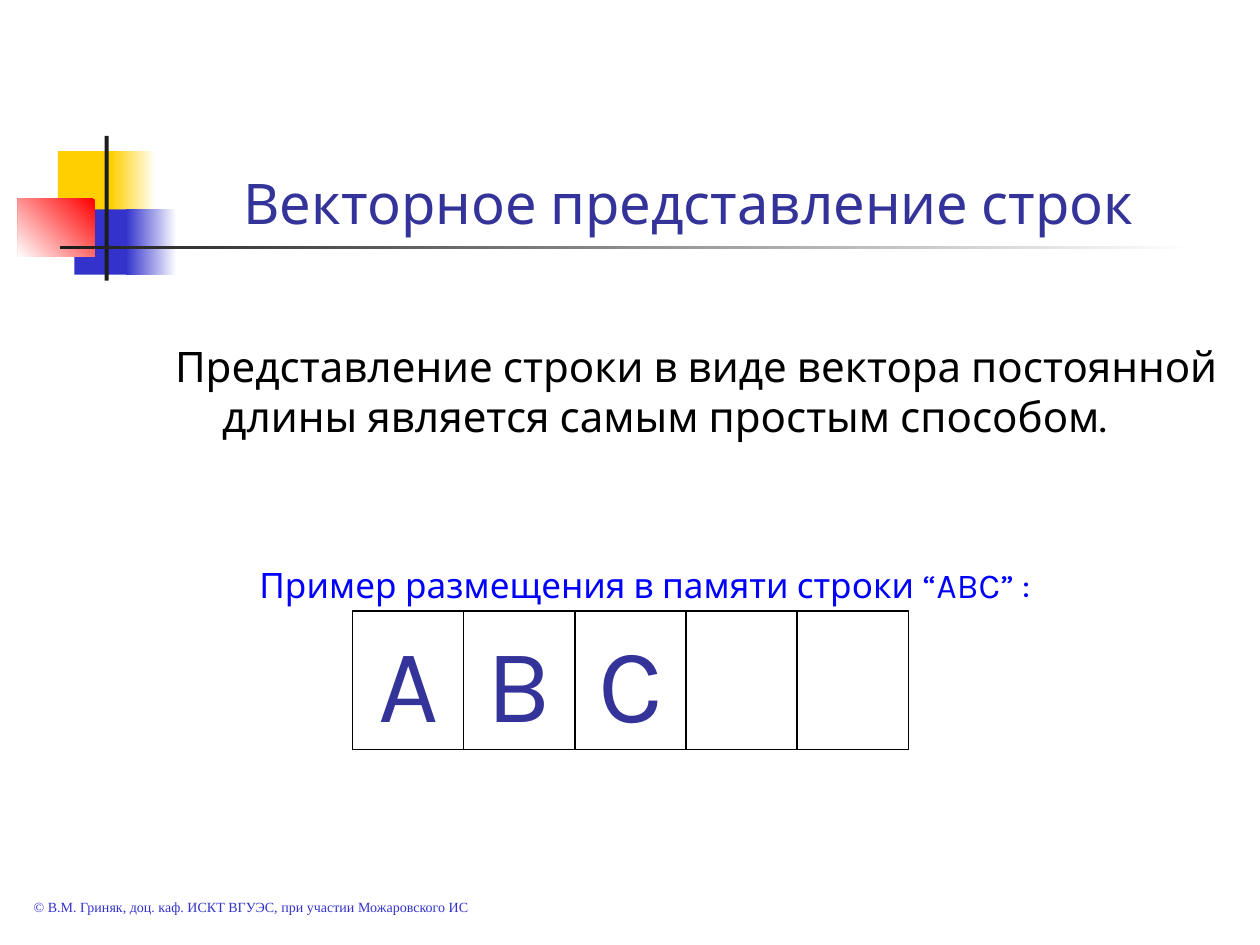
import pptx
import pptx.dml.color
import pptx.enum.shapes
import pptx.enum.text
import pptx.util

Cm = pptx.util.Cm
Pt = pptx.util.Pt
Align = pptx.enum.text.PP_ALIGN
Anchor = pptx.enum.text.MSO_ANCHOR

WHITE, BLACK = "FFFFFF", "1C1C1C"
GOLD, BLUE, RED, NAVY = "FFCF01", "3333CC", "FF0000", "333399"


def tint(code):
    return pptx.dml.color.RGBColor.from_string(code)


def write(para, text, size=24, color="000000", font="Karla",
          align=Align.LEFT, left=0, hang=0, before=0):
    props = para._p.get_or_add_pPr()
    props.set("marL", str(Cm(left)))
    props.set("indent", str(Cm(-hang)))
    para.alignment = align
    para.space_before = Pt(before)
    run = para.add_run()
    run.text = text
    run.font.size = Pt(size)
    run.font.name = font
    run.font.color.rgb = tint(color)


class Deck:
    font = "Karla"
    pad = (0.25, 0.13)

    def __init__(self, width, height):
        self.show = pptx.Presentation()
        self.show.slide_width = Cm(width)
        self.show.slide_height = Cm(height)
        self.slide = self.show.slides.add_slide(self.show.slide_layouts[6])

    def frame(self, shape, anchor):
        frame = shape.text_frame
        frame.word_wrap = True
        frame.vertical_anchor = anchor
        frame.margin_left = frame.margin_right = Cm(self.pad[0])
        frame.margin_top = frame.margin_bottom = Cm(self.pad[1])
        return frame

    def block(self, box, fill, line=None):
        kind = pptx.enum.shapes.MSO_SHAPE.RECTANGLE
        shape = self.slide.shapes.add_shape(kind, *map(Cm, box))
        shape.shadow.inherit = False
        shape.fill.solid()
        shape.fill.fore_color.rgb = tint(fill)
        if line:
            shape.line.color.rgb = tint(line)
            shape.line.width = Pt(0.75)
        else:
            shape.line.fill.background()
        return shape

    def fade(self, box, start, end, angle=180):
        fill = self.block(box, end).fill
        fill.gradient()
        fill.gradient_angle = angle
        for stop, code in zip(fill.gradient_stops, (start, end)):
            stop.color.rgb = tint(code)

    def cell(self, box, text):
        shape = self.block(box, WHITE, "000000")
        if text:
            para = self.frame(shape, Anchor.TOP).paragraphs[0]
            write(para, text, size=60, color=NAVY, font=self.font,
                  align=Align.CENTER)

    def text(self, box, *items, anchor=Anchor.TOP):
        frame = self.frame(self.slide.shapes.add_textbox(*map(Cm, box)), anchor)
        for order, (words, style) in enumerate(items):
            para = frame.add_paragraph() if order else frame.paragraphs[0]
            write(para, words, **{"font": self.font, **style})


def main():
    deck = Deck(25.4, 19.05)

    deck.block((1.17, 3.05, 1.22, 1.32), GOLD)
    deck.fade((2.24, 3.05, 0.91, 1.32), WHITE, GOLD)
    deck.block((1.5, 4.22, 1.17, 1.32), BLUE)
    deck.fade((2.54, 4.22, 1.02, 1.32), WHITE, BLUE)
    deck.fade((0.36, 4.01, 1.55, 1.17), RED, WHITE, 225)
    deck.block((2.11, 2.74, 0.08, 2.92), BLACK)
    deck.fade((1.22, 4.95, 22.86, 0.08), WHITE, BLACK)

    deck.text((3.2, 1.7, 21.64, 3.18),
              ("Векторное представление строк ",
               dict(size=32, color=NAVY, align=Align.CENTER)),
              anchor=Anchor.BOTTOM)
    deck.text((3.28, 6.73, 21.59, 8.2),
              ("Представление строки в виде вектора постоянной длины "
               "является самым простым способом.",
               dict(left=0.95, hang=0.95)),
              ("Пример размещения в памяти строки “ABC” :",
               dict(size=20, color="0000FF", left=1.7, before=70)))

    left, top, width, height = 7.11, 12.32, 2.24, 2.79
    for spot, letter in enumerate(("A", "B", "C", "", "")):
        deck.cell((left + spot * width, top, width, height), letter)

    deck.text((0.43, 17.98, 9.96, 0.61),
              ("© В.М. Гриняк, доц. каф. ИСКТ ВГУЭС, при участии Можаровского ИС",
               dict(size=8, color=BLUE, font="Times New Roman")))

    deck.show.save("out.pptx")


if __name__ == "__main__":
    main()
